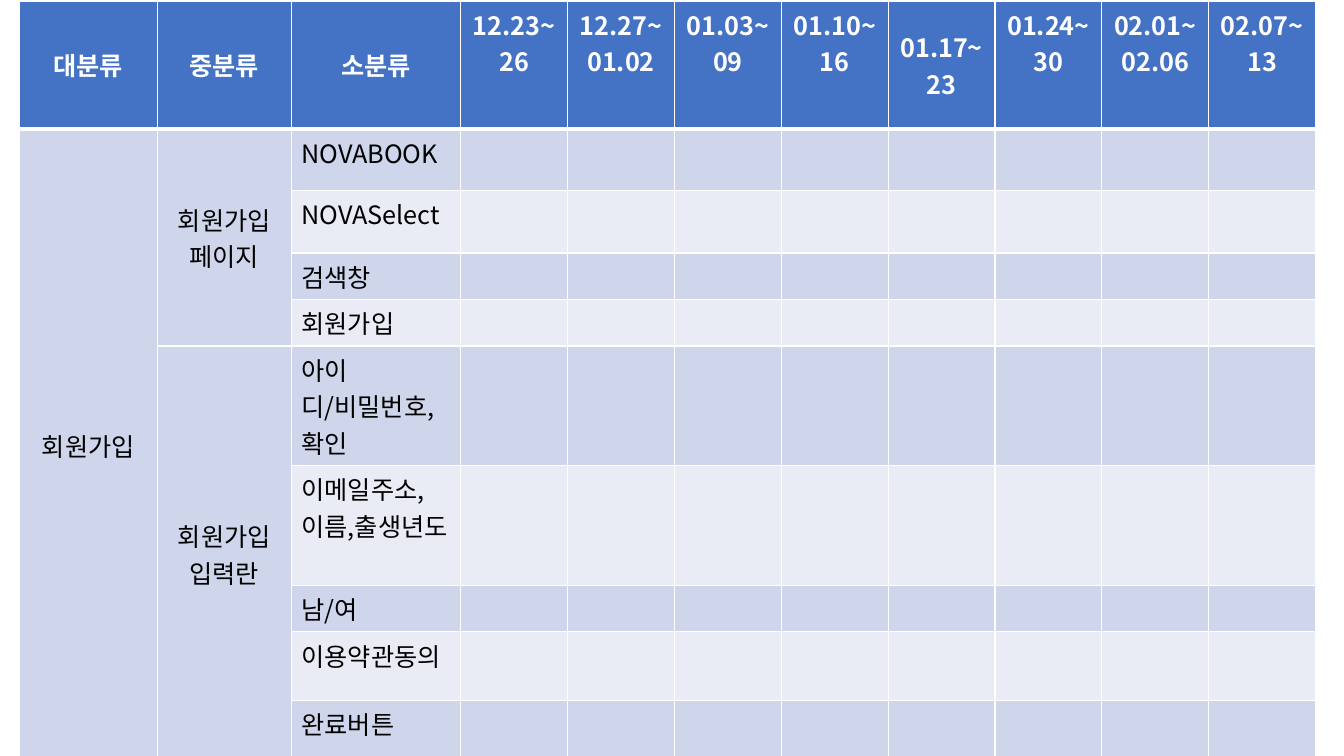
from dataclasses import dataclass

from lxml import etree
from pptx import Presentation
from pptx import util as u
from pptx.dml.color import RGBColor
from pptx.enum import lang, text
from pptx.oxml import ns

PX = 9144
FONT_NAME = "Noto Sans CJK KR"
WHITE = RGBColor(0xFF, 0xFF, 0xFF)
BLACK = RGBColor(0x00, 0x00, 0x00)
HEADER_BLUE = RGBColor(0x44, 0x72, 0xC4)
BAND_DARK = RGBColor(0xCF, 0xD5, 0xEA)
BAND_LIGHT = RGBColor(0xE9, 0xEB, 0xF5)

CATEGORY_WIDTHS = [137, 133, 168]
WEEK_WIDTH = 106
ROW_HEIGHTS = [127, 61, 62, 38, 33, 97, 97, 39, 68, 61]
CATEGORY_TITLES = ["대분류", "중분류", "소분류"]
WEEKS = ["12.23~26", "12.27~01.02", "01.03~09", "01.10~16", "01.17~23",
         "01.24~30", "02.01~02.06", "02.07~13"]
MIDDLE_WEEK = "01.17~23"
TASKS = ["NOVABOOK", "NOVASelect", "검색창", "회원가입", "아이디/비밀번호,확인",
         "이메일주소,이름,출생년도", "남/여", "이용약관동의", "완료버튼"]


@dataclass
class Group:
    label: str
    column: int
    first_row: int
    last_row: int
    inset: bool = True


GROUPS = [
    Group("회원가입", 0, 1, 9),
    Group("회원가입 페이지", 1, 1, 4),
    Group("회원가입 입력란", 1, 5, 9, inset=False),
]

HEADER_FORMAT = {"size": u.Pt(18), "bold": True, "name": FONT_NAME,
                 "language_id": lang.MSO_LANGUAGE_ID.KOREAN}
BODY_FORMAT = {**HEADER_FORMAT, "bold": False}
NO_INSETS = {"margin_left": 0, "margin_right": 0, "margin_top": 0, "margin_bottom": 0}


def set_borders(cell, row: int) -> None:
    widths = {"lnL": 1, "lnR": 1, "lnT": 3 if row == 1 else 1, "lnB": 3 if row == 0 else 1}
    properties = cell._tc.get_or_add_tcPr()
    for side, width in widths.items():
        line = etree.SubElement(properties, ns.qn(f"a:{side}"), w=str(u.Pt(width)))
        fill = etree.SubElement(line, ns.qn("a:solidFill"))
        etree.SubElement(fill, ns.qn("a:srgbClr"), val=str(WHITE))


def write(cell, words: str, row: int, centered: bool, middle: bool) -> None:
    if middle:
        cell.vertical_anchor = text.MSO_ANCHOR.MIDDLE
    paragraph = cell.text_frame.paragraphs[0]
    paragraph.alignment = text.PP_ALIGN.CENTER if centered else text.PP_ALIGN.LEFT
    run = paragraph.add_run()
    run.text = words
    for name, value in (HEADER_FORMAT if row == 0 else BODY_FORMAT).items():
        setattr(run.font, name, value)
    run.font.color.rgb = WHITE if row == 0 else BLACK
    etree.SubElement(run.font._element, ns.qn("a:ea"), typeface=FONT_NAME)


def style_grid(table) -> None:
    for row in range(len(ROW_HEIGHTS)):
        for column in range(len(table.columns)):
            cell = table.cell(row, column)
            set_borders(cell, row)
            cell.fill.solid()
            if row == 0:
                color = HEADER_BLUE
            else:
                color = BAND_DARK if row % 2 or column < 2 else BAND_LIGHT
            cell.fill.fore_color.rgb = color


def fill_words(table) -> None:
    for column, title in enumerate(CATEGORY_TITLES + WEEKS):
        middle = title in CATEGORY_TITLES or title == MIDDLE_WEEK
        write(table.cell(0, column), title, 0, centered=True, middle=middle)
    for row, task in enumerate(TASKS, start=1):
        write(table.cell(row, 2), task, row, centered=False, middle=False)
    for group in GROUPS:
        cell = table.cell(group.first_row, group.column)
        cell.merge(table.cell(group.last_row, group.column))
        write(cell, group.label, group.first_row, centered=True, middle=True)
        if not group.inset:
            for name, value in NO_INSETS.items():
                setattr(cell, name, value)


def main() -> None:
    presentation = Presentation()
    presentation.slide_width = 1333 * PX
    presentation.slide_height = 750 * PX
    slide = presentation.slides.add_slide(presentation.slide_layouts[6])
    widths = CATEGORY_WIDTHS + [WEEK_WIDTH] * len(WEEKS)
    table = slide.shapes.add_table(len(ROW_HEIGHTS), len(widths), 19 * PX, 1 * PX,
                                   sum(widths) * PX, sum(ROW_HEIGHTS) * PX).table
    for column, width in zip(table.columns, widths):
        column.width = width * PX
    for row, height in zip(table.rows, ROW_HEIGHTS):
        row.height = height * PX
    style_grid(table)
    fill_words(table)
    presentation.save("out.pptx")


if __name__ == "__main__":
    main()
